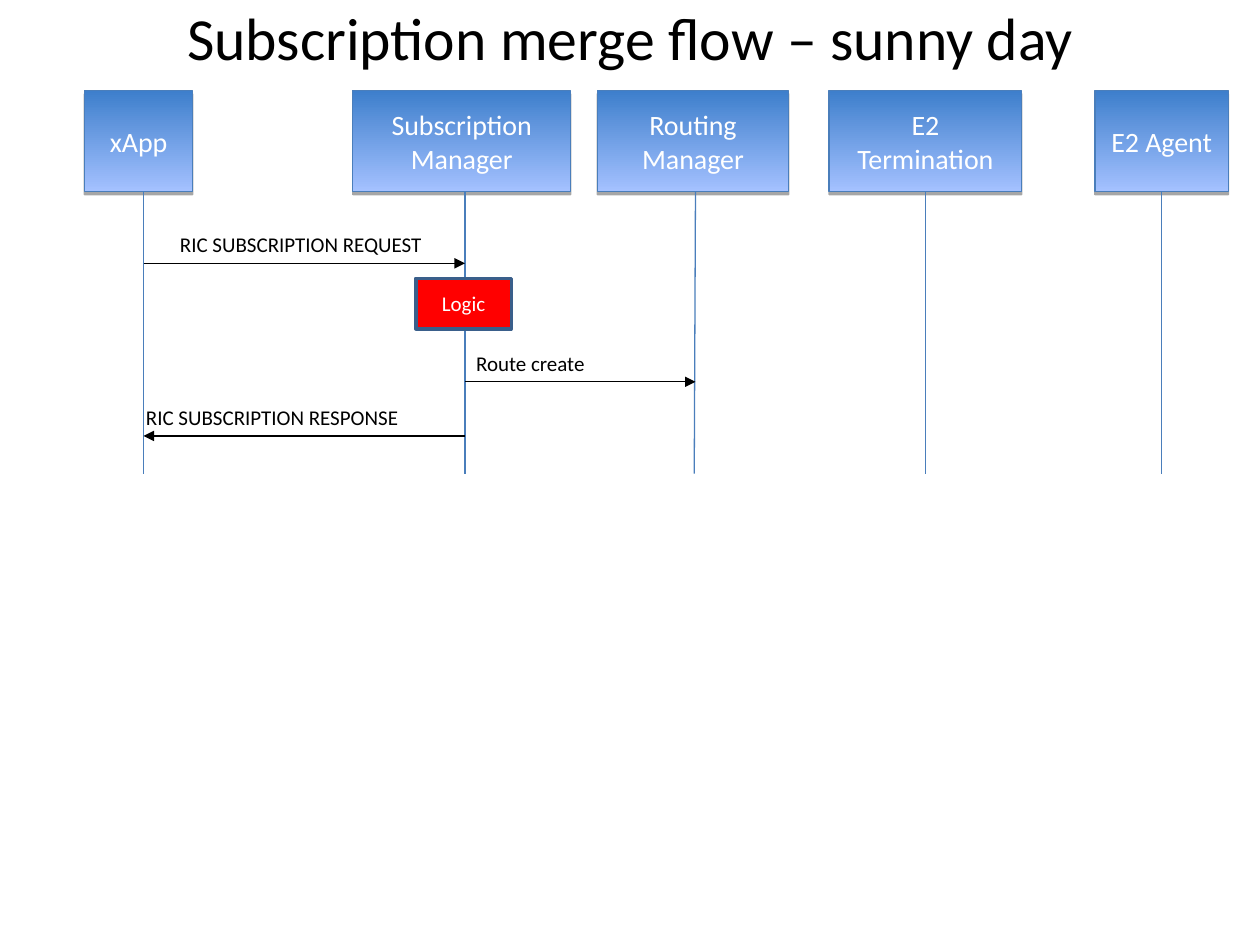
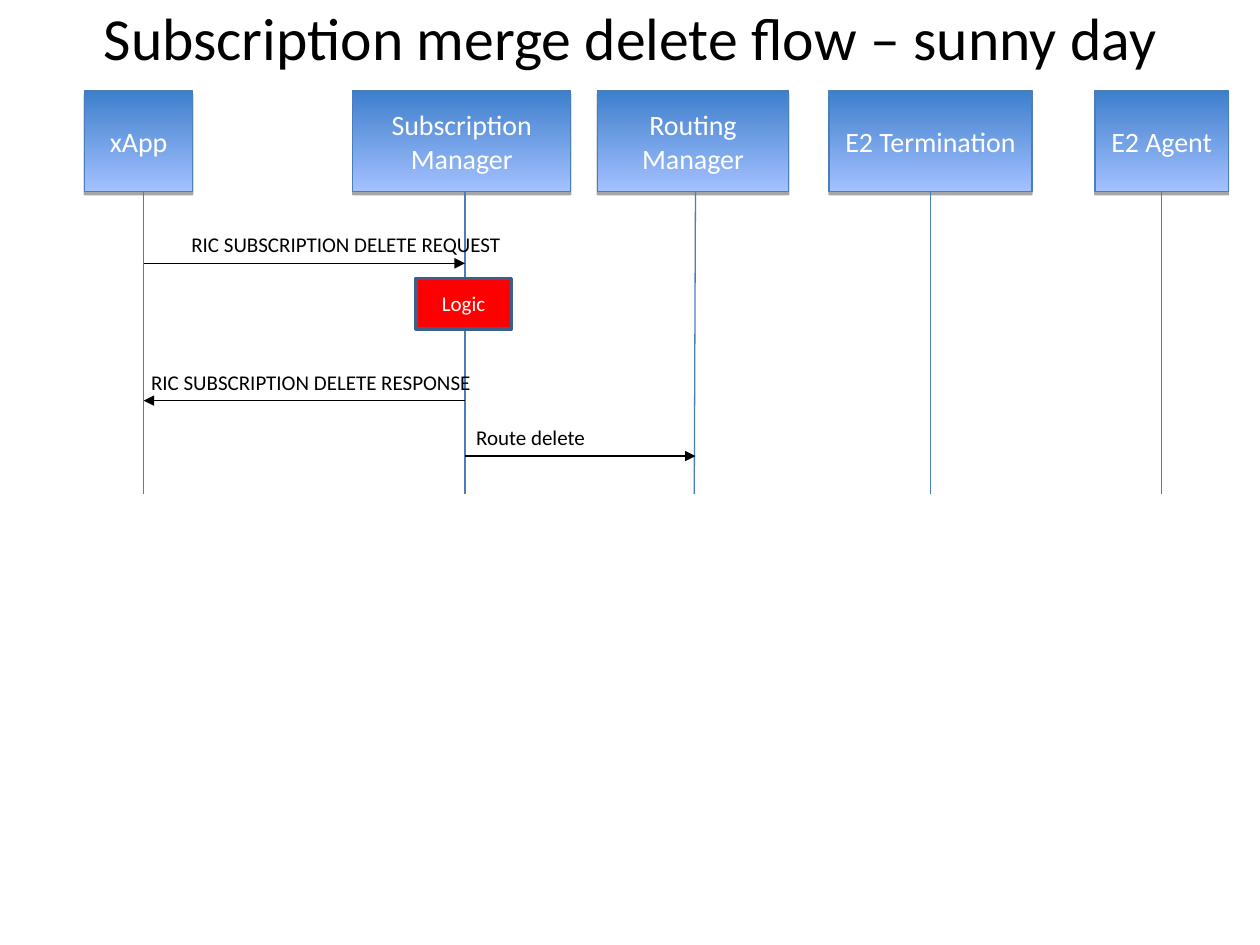
import pptx
import pptx.util
import pptx.dml.color
import pptx.enum.shapes
import pptx.enum.text
import pptx.oxml
import pptx.oxml.ns
import lxml.etree

Inches = pptx.util.Inches
COLOURS = {
    "text": "000000", "white": "FFFFFF", "box_top": "3E7FCC", "box_bottom": "A4C1FF",
    "box_line": "4A7EBB", "logic": "FF0000", "logic_line": "3A5F8B",
}
RGB = {name: pptx.dml.color.RGBColor.from_string(value) for name, value in COLOURS.items()}
FONT = "Calibri"
BOX_TOP, BOX_HEIGHT = 0.72, 0.8
BOX_BOTTOM = BOX_TOP + BOX_HEIGHT
APP, MANAGER, ROUTING = 1.14, 3.69, 5.52  # x of the lifelines that carry messages

# Each message: from x, to x, arrow y, label, label left, label width
slides = [
    {
        "title": "Subscription merge flow – sunny day",
        "termination_width": 1.53,
        "lifeline_end": 3.76,
        "messages": [
            (APP, MANAGER, 2.09, "RIC SUBSCRIPTION REQUEST", 1.33, 2.2),
            (MANAGER, ROUTING, 3.03, "Route create", 3.68, 1.48),
            (MANAGER, APP, 3.46, "RIC SUBSCRIPTION RESPONSE", 1.06, 2.71),
        ],
    },
    {
        "title": "Subscription merge delete flow – sunny day",
        "termination_width": 1.61,
        "lifeline_end": 3.92,
        "messages": [
            (APP, MANAGER, 2.09, "RIC SUBSCRIPTION DELETE REQUEST", 1.42, 2.75),
            (MANAGER, APP, 3.18, "RIC SUBSCRIPTION DELETE RESPONSE", 1.1, 3.42),
            (MANAGER, ROUTING, 3.62, "Route delete", 3.68, 1.48),
        ],
    },
]


def write_text(shape, text, size, colour, alignment):
    frame = shape.text_frame
    frame.text = text
    for para in frame.paragraphs:
        para.alignment = alignment
        for span in para.runs:
            span.font.size = pptx.util.Pt(size)
            span.font.name = FONT
            span.font.color.rgb = RGB[colour]


def draw_line(page, start, end, colour):
    line = page.shapes.add_connector(
        pptx.enum.shapes.MSO_CONNECTOR.STRAIGHT, *[Inches(value) for value in start + end])
    line.line.color.rgb = RGB[colour]
    line.line.width = pptx.util.Pt(0.75)
    lxml.etree.SubElement(line._element.spPr, pptx.oxml.ns.qn("a:effectLst"))
    return line


RECTANGLE = pptx.enum.shapes.MSO_SHAPE.RECTANGLE
CENTER = pptx.enum.text.PP_ALIGN.CENTER
LEFT = pptx.enum.text.PP_ALIGN.LEFT
MIDDLE = pptx.enum.text.MSO_ANCHOR.MIDDLE

deck = pptx.Presentation()
deck.slide_width, deck.slide_height = Inches(10), Inches(7.5)

for content in slides:
    page = deck.slides.add_slide(deck.slide_layouts[5])

    # Title
    title = page.shapes.title
    title.left, title.top = Inches(0.5), Inches(0.05)
    title.width, title.height = Inches(9), Inches(0.58)
    write_text(title, content["title"], 34.1, "text", CENTER)
    title.text_frame.auto_size = pptx.enum.text.MSO_AUTO_SIZE.NONE
    title.text_frame.vertical_anchor = MIDDLE
    title.text_frame.paragraphs[0].line_spacing = 0.8

    # Participants: name, left, width, lifeline top and bottom x (None: box centre)
    participants = [
        ("xApp", 0.67, 0.86, (APP, APP)),
        ("Subscription Manager", 2.8, 1.73, (MANAGER, MANAGER)),
        ("Routing\nManager", 4.74, 1.52, (ROUTING, 5.51)),
        ("E2 Termination", 6.58, content["termination_width"], None),
        ("E2 Agent", 8.69, 1.06, None),
    ]
    for name, left, width, lifeline_x in participants:
        box = page.shapes.add_shape(
            RECTANGLE, Inches(left), Inches(BOX_TOP), Inches(width), Inches(BOX_HEIGHT))
        box.fill.gradient()
        box.fill.gradient_angle = 270
        for stop, colour in zip(box.fill.gradient_stops, ("box_top", "box_bottom")):
            stop.color.rgb = RGB[colour]
        box.fill.gradient_stops[0].position = 0
        box.fill.gradient_stops[1].position = 1
        box.line.color.rgb = RGB["box_line"]
        box.line.width = pptx.util.Pt(0.75)
        box.shadow.inherit = False
        effects = box._element.spPr.find(pptx.oxml.ns.qn("a:effectLst"))
        effects.append(pptx.oxml.parse_xml(
            f'<a:outerShdw {pptx.oxml.ns.nsdecls("a")} blurRad="0" dist="22860" dir="5400000" '
            'rotWithShape="0"><a:srgbClr val="000000"><a:alpha val="35000"/></a:srgbClr>'
            '</a:outerShdw>'))
        write_text(box, name, 16, "white", CENTER)
        box.text_frame.vertical_anchor = MIDDLE

        # Lifeline under the box
        top_x, bottom_x = lifeline_x or [left + width / 2] * 2
        lifeline = draw_line(
            page, (top_x, BOX_BOTTOM), (bottom_x, content["lifeline_end"]), "box_line")
        if lifeline_x is None:
            lifeline.begin_connect(box, 2)

    # Logic step on the manager's lifeline
    logic = page.shapes.add_shape(
        RECTANGLE, Inches(3.3), Inches(2.21), Inches(0.76), Inches(0.4))
    logic.fill.solid()
    logic.fill.fore_color.rgb = RGB["logic"]
    logic.line.color.rgb = RGB["logic_line"]
    logic.line.width = pptx.util.Pt(2)
    logic.shadow.inherit = False
    write_text(logic, "Logic", 12, "white", CENTER)
    logic.text_frame.vertical_anchor = MIDDLE

    # Messages with their labels just above
    for from_x, to_x, y, text, left, width in content["messages"]:
        arrow = draw_line(page, (from_x, y), (to_x, y), "text")
        outline = arrow.line._get_or_add_ln()
        lxml.etree.SubElement(outline, pptx.oxml.ns.qn("a:tailEnd"), type="triangle")
        label = page.shapes.add_textbox(
            Inches(left), Inches(y - 0.3), Inches(width), Inches(0.3))
        write_text(label, text, 12, "text", LEFT)
        label.text_frame.word_wrap = True
        label.text_frame.auto_size = pptx.enum.text.MSO_AUTO_SIZE.SHAPE_TO_FIT_TEXT

deck.save("out.pptx")
